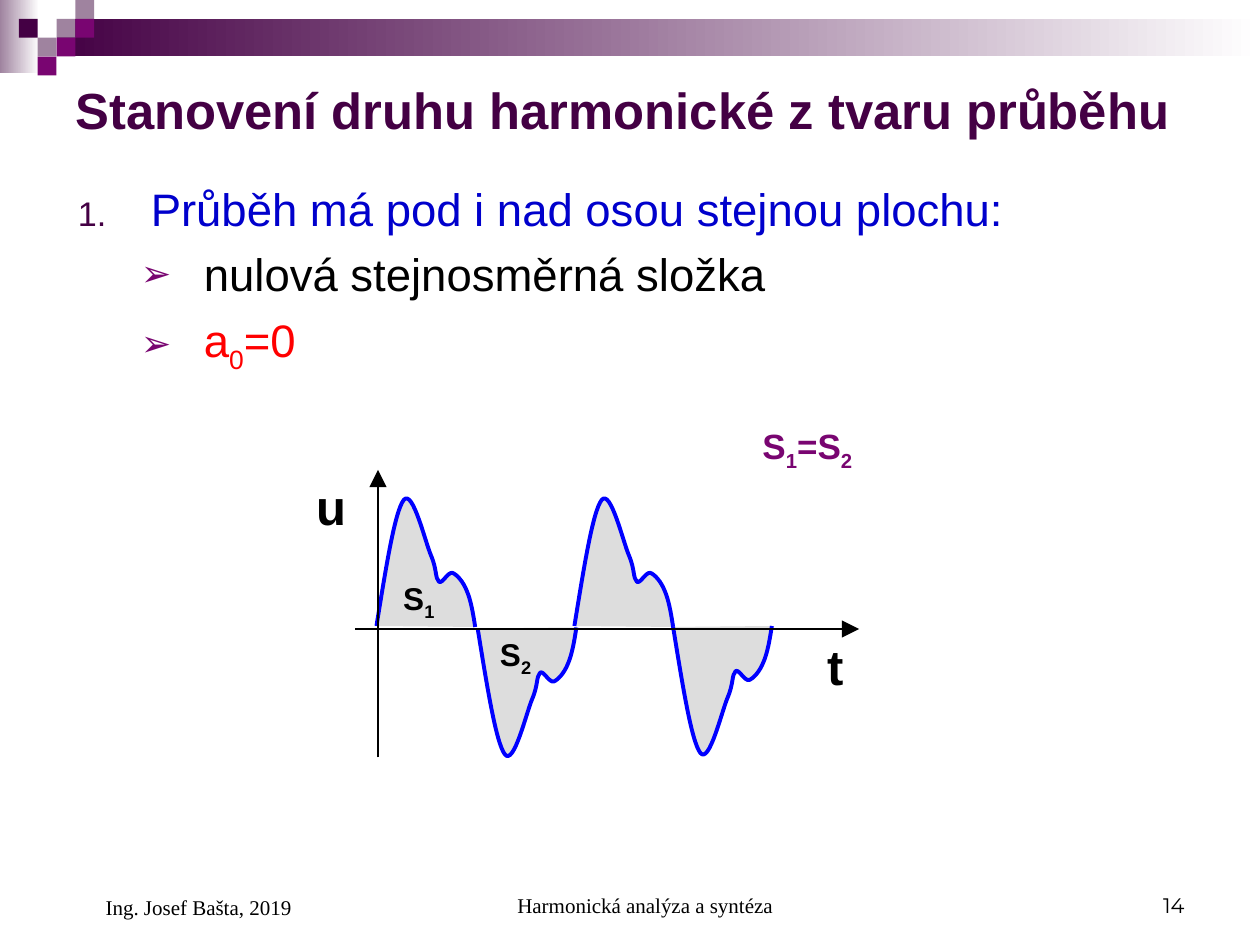
"""Builds a slide on a waveform with equal areas above and below its axis."""
import itertools
import lxml.etree
import pptx
import pptx.dml.color
import pptx.enum.shapes
import pptx.enum.text
import pptx.oxml.ns
import pptx.util

Cm = pptx.util.Cm
ALIGN = pptx.enum.text.PP_ALIGN
ANCHOR = pptx.enum.text.MSO_ANCHOR

TITLE = "Stanovení druhu harmonické z tvaru průběhu"
DARK, VIOLET, PALE, BLACK = "440044", "790571", "9F839F", "000000"
SQUARE = 0.38
BANDS = [((0, 0, 0.79, 1.47), PALE), ((1.14, 0.38, 24.26, 0.76), DARK)]
SQUARES = [(3, 1, PALE), (4, 0, PALE), (4, 1, VIOLET), (2, 2, PALE),
           (1, 1, DARK), (3, 2, VIOLET), (2, 3, VIOLET)]

NUMBERED = dict(margin=1.47, indent=-1.47, bullet="1.", bullet_color=DARK, bullet_size=75)
ARROWED = dict(margin=2.54, indent=-1.27, bullet="➢", bullet_color=VIOLET, bullet_size=80)
BODY_BOX = (1.32, 3.51, 22.81, 4.39)
BODY = [
    (["Průběh má pod i nad osou stejnou plochu:"], "0000CC", NUMBERED),
    (["nulová stejnosměrná složka"], BLACK, ARROWED),
    (["a", "0", "=0"], "FF0000", ARROWED),
]
LABELS = [
    (["u"], (6.13, 9.48, 1.7, 1.45), 28, BLACK),
    (["t"], (16.43, 12.7, 1.14, 1.45), 28, BLACK),
    (["S", "1"], (7.88, 11.54, 1.27, 1.12), 18, BLACK),
    (["S", "2"], (9.83, 12.67, 1.27, 1.12), 18, BLACK),
    (["S", "1", "=S", "2"], (15.12, 8.43, 2.69, 1.22), 20, VIOLET),
]
FOOTERS = [
    ("Harmonická analýza a syntéza", (8.68, 17.36, 8.05, 1.27), "Times New Roman", ALIGN.CENTER, 0.61),
    ("14", (18.21, 17.36, 5.92, 1.27), "Montserrat", ALIGN.RIGHT, 0),
    ("Ing. Josef Bašta, 2019", (1.27, 17.35, 5.92, 1.32), "Times New Roman", ALIGN.LEFT, 0.61),
]

HALF_WAVE = [
    ((0.19, 1.17), (0.37, 2.31), (0.55, 2.54)),
    ((0.73, 2.77), (0.98, 1.7), (1.1, 1.42)),
    ((1.22, 1.14), (1.18, 0.97), (1.26, 0.89)),
    ((1.32, 0.84), (1.44, 1.09), (1.53, 1.07)),
    ((1.62, 1.04), (1.75, 0.89), (1.82, 0.71)),
    ((1.9, 0.53), (1.95, 0.25), (1.99, -0.02)),
]
WAVES = [(7.59, 12.62, 1), (9.63, 12.67, -1), (11.58, 12.62, 1), (13.57, 12.64, -1)]
AXES = [(7.16, 12.68, 17.32, 12.68), (7.62, 15.27, 7.62, 9.47)]


def color(value):
    return pptx.dml.color.RGBColor.from_string(value)


def add_element(parent, name, **attributes):
    return lxml.etree.SubElement(parent, pptx.oxml.ns.qn(name), attributes)


def add_rectangle(slide, box, fill, fades=False):
    shape = slide.shapes.add_shape(pptx.enum.shapes.MSO_SHAPE.RECTANGLE, *map(Cm, box))
    shape.shadow.inherit = False
    shape.line.fill.background()
    if fades:
        shape.fill.gradient()
        shape.fill.gradient_angle = 0
        for stop, value in zip(shape.fill.gradient_stops, (fill, "FFFFFF")):
            stop.color.rgb = color(value)
    else:
        shape.fill.solid()
        shape.fill.fore_color.rgb = color(fill)


def set_attributes(target, values):
    for name, value in values.items():
        setattr(target, name, value)


def set_frame(frame, anchor):
    set_attributes(frame, dict(
        word_wrap=True, auto_size=pptx.enum.text.MSO_AUTO_SIZE.NONE, vertical_anchor=anchor,
        margin_left=Cm(0.25), margin_right=Cm(0.25), margin_top=Cm(0.13), margin_bottom=Cm(0.13)))


def add_text_box(slide, box, anchor=ANCHOR.TOP):
    frame = slide.shapes.add_textbox(*map(Cm, box)).text_frame
    set_frame(frame, anchor)
    return frame


def write(paragraph, parts, size, fill, font="Arial", bold=False):
    """Writes parts that alternate between normal text and subscript."""
    for index, text in enumerate(parts):
        run = paragraph.add_run()
        run.text = text
        set_attributes(run.font, dict(name=font, size=pptx.util.Pt(size), bold=bold))
        run.font.color.rgb = color(fill)
        if index % 2:
            run._r.get_or_add_rPr().set("baseline", "-25000")


def set_indent(paragraph, margin, indent=0):
    properties = paragraph._p.get_or_add_pPr()
    properties.set("marL", str(Cm(margin)))
    properties.set("indent", str(Cm(indent)))
    return properties


def set_bullet(paragraph, margin, indent, bullet, bullet_color, bullet_size):
    properties = set_indent(paragraph, margin, indent)
    add_element(add_element(properties, "a:buClr"), "a:srgbClr", val=bullet_color)
    add_element(properties, "a:buSzPct", val=str(bullet_size * 1000))
    add_element(properties, "a:buFont", typeface="Arial")
    if bullet == "1.":
        add_element(properties, "a:buAutoNum", type="arabicPeriod")
    else:
        add_element(properties, "a:buChar", char=bullet)


def bend_segments(shape):
    """Turns every three straight segments into one Bézier curve."""
    segments = list(shape._element.iter(pptx.oxml.ns.qn("a:lnTo")))
    outline = segments[0].getparent()
    for first in range(0, len(segments), 3):
        curve = add_element(outline, "a:cubicBezTo")
        for segment in segments[first:first + 3]:
            curve.append(segment[0])
            outline.remove(segment)


def add_wave(slide, left, base, direction):
    builder = slide.shapes.build_freeform(Cm(left), Cm(base))
    builder.add_line_segments(
        [(Cm(left + x), Cm(base - direction * y)) for x, y in itertools.chain(*HALF_WAVE)], close=False)
    shape = builder.convert_to_shape()
    bend_segments(shape)
    shape.shadow.inherit = False
    shape.fill.solid()
    shape.fill.fore_color.rgb = color("DDDDDD")
    shape.line.color.rgb = color("0000FF")
    shape.line.width = pptx.util.Pt(2.25)


def add_axis(slide, ends):
    connector = slide.shapes.add_connector(pptx.enum.shapes.MSO_CONNECTOR.STRAIGHT, *map(Cm, ends))
    connector.line.color.rgb = color(BLACK)
    connector.line.width = pptx.util.Pt(1.5)
    add_element(connector.line._get_or_add_ln(), "a:tailEnd", type="triangle", w="lg", len="lg")
    add_element(connector._element.spPr, "a:effectLst")


def main():
    presentation = pptx.Presentation()
    presentation.slide_width, presentation.slide_height = Cm(25.4), Cm(19.05)
    slide = presentation.slides.add_slide(presentation.slide_layouts[5])

    for box, fill in BANDS:
        add_rectangle(slide, box, fill, fades=True)
    for column, row, fill in SQUARES:
        add_rectangle(slide, (column * SQUARE, row * SQUARE, SQUARE, SQUARE), fill)

    title = slide.shapes.title
    set_attributes(title, dict(left=Cm(1.27), top=Cm(1.27), width=Cm(22.86), height=Cm(1.85)))
    set_frame(title.text_frame, ANCHOR.MIDDLE)
    title.text_frame.paragraphs[0].alignment = ALIGN.LEFT
    write(title.text_frame.paragraphs[0], [TITLE], 29, DARK, bold=True)

    frame = add_text_box(slide, BODY_BOX)
    for index, (parts, fill, bullet) in enumerate(BODY):
        paragraph = frame.add_paragraph() if index else frame.paragraphs[0]
        set_bullet(paragraph, **bullet)
        if index:
            paragraph.level = 1
            paragraph.space_before = pptx.util.Pt(6.5)
        write(paragraph, parts, 26, fill)

    for wave in WAVES:
        add_wave(slide, *wave)
    for ends in AXES:
        add_axis(slide, ends)
    for parts, box, size, fill in LABELS:
        write(add_text_box(slide, box).paragraphs[0], parts, size, fill, bold=True)
    for text, box, font, alignment, margin in FOOTERS:
        paragraph = add_text_box(slide, box, ANCHOR.BOTTOM).paragraphs[0]
        paragraph.alignment = alignment
        set_indent(paragraph, margin)
        write(paragraph, [text], 12, BLACK, font)

    presentation.save("out.pptx")


if __name__ == "__main__":
    main()
